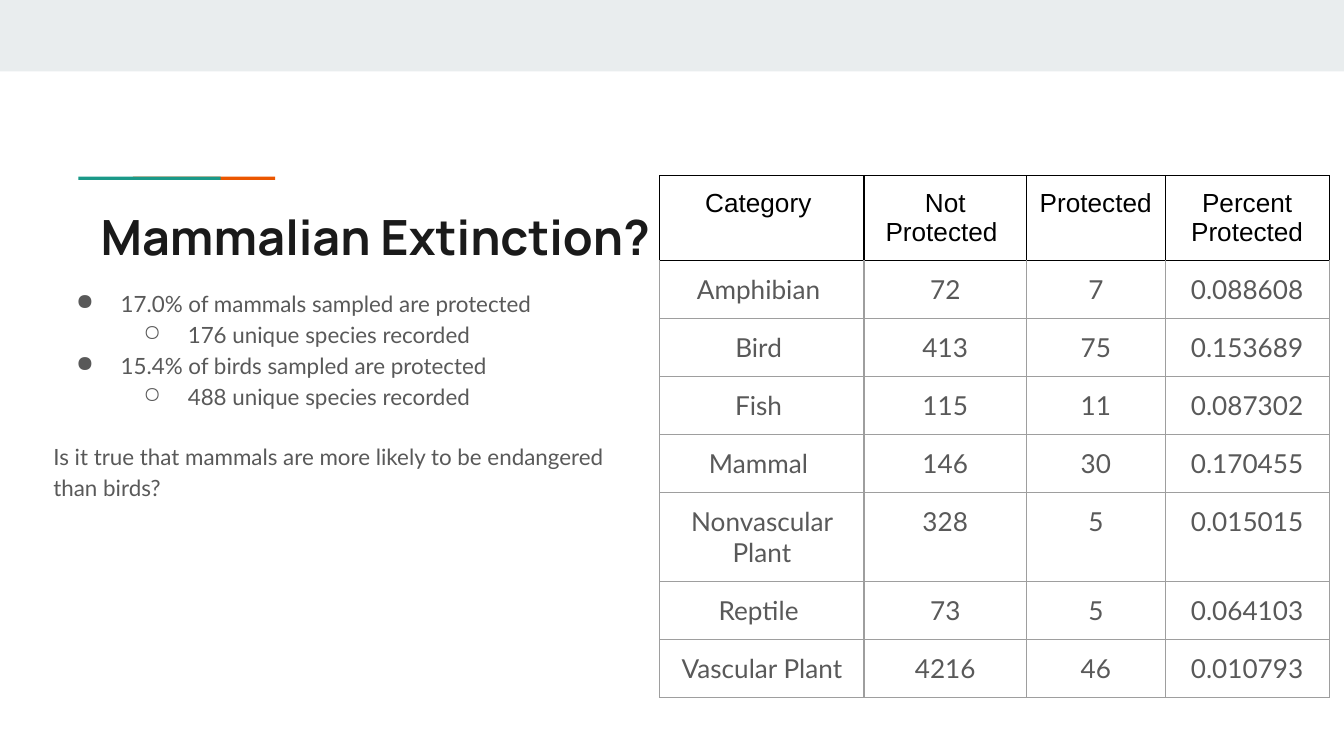
from lxml import etree
from pptx import Presentation
from pptx.dml.color import RGBColor
from pptx.enum.shapes import MSO_SHAPE
from pptx.enum.text import MSO_ANCHOR, MSO_AUTO_SIZE, PP_ALIGN
from pptx.oxml.ns import qn
from pptx.util import Cm, Pt

RECTANGLE = MSO_SHAPE.RECTANGLE
TOP = MSO_ANCHOR.TOP
NO_AUTOFIT = MSO_AUTO_SIZE.NONE
LEFT, CENTER = PP_ALIGN.LEFT, PP_ALIGN.CENTER

TITLE_ONLY = 5
INSET = Cm(0.25)
GREY_TEXT = "595959"
GRID = "9E9E9E"
BLACK = "000000"

BULLETS = [
    (0, "17.0% of mammals sampled are protected"),
    (1, "176 unique species recorded"),
    (0, "15.4% of birds sampled are protected"),
    (1, "488 unique species recorded"),
]
QUESTION = "Is it true that mammals are more likely to be endangered than birds?"
ROWS = [
    ("Category ", "Not Protected ", "Protected", "Percent Protected"),
    ("Amphibian ", "72", "7", "0.088608"),
    ("Bird ", "413", "75", "0.153689"),
    ("Fish ", "115", "11", "0.087302"),
    ("Mammal ", "146", "30", "0.170455"),
    ("Nonvascular Plant", "328", "5", "0.015015"),
    ("Reptile ", "73", "5", "0.064103"),
    ("Vascular Plant", "4216", "46", "0.010793"),
]
COLUMN_WIDTHS = [3.86, 3.07, 2.62, 3.1]
HEADER_HEIGHT, ROW_HEIGHT = 1.42, 1.09


def color(value):
    return RGBColor.from_string(value)


def write(para, text, *, size, font="Lato", fill=GREY_TEXT, bold=False,
          align=LEFT, spacing=1.0, gap=0):
    para.alignment = align
    para.line_spacing = spacing
    para.space_before = para.space_after = Pt(gap)
    span = para.add_run()
    span.text = text
    span.font.size = Pt(size)
    span.font.name = font
    span.font.bold = bold
    span.font.color.rgb = color(fill)


def set_bullet(para, level):
    para.level = level
    properties = para._p.get_or_add_pPr()
    properties.set("marL", str(Cm(1.27 * (level + 1))))
    properties.set("indent", str(Cm(-0.84)))
    bullet = etree.SubElement(properties, qn("a:buChar"))
    bullet.set("char", "●○"[level])


def set_insets(frame):
    frame.margin_left = frame.margin_right = INSET
    frame.margin_top = frame.margin_bottom = INSET


def prepare_frame(frame):
    frame.word_wrap = True
    frame.auto_size = NO_AUTOFIT
    frame.vertical_anchor = TOP
    set_insets(frame)


def add_bar(page, left, top, width, height, fill):
    bar = page.shapes.add_shape(RECTANGLE, Cm(left), Cm(top), Cm(width), Cm(height))
    bar.shadow.inherit = False
    bar.fill.solid()
    bar.fill.fore_color.rgb = color(fill)
    bar.line.fill.background()


def add_title(page, text):
    title = page.shapes.title
    title.left, title.top, title.width, title.height = Cm(1.65), Cm(3.66), Cm(21.36), Cm(1.5)
    prepare_frame(title.text_frame)
    write(title.text_frame.paragraphs[0], text, size=26, font="Manrope",
          fill="1A1A1A", bold=True)


def add_findings(page):
    box = page.shapes.add_textbox(Cm(0.76), Cm(5.16), Cm(11.56), Cm(8.1))
    frame = box.text_frame
    prepare_frame(frame)
    for index, (level, text) in enumerate(BULLETS):
        para = frame.add_paragraph() if index else frame.paragraphs[0]
        write(para, text, size=12, spacing=1.15)
        set_bullet(para, level)
    write(frame.add_paragraph(), QUESTION, size=12, spacing=1.15, gap=16)


def set_border(cell, side, value):
    line = etree.SubElement(cell._tc.get_or_add_tcPr(), qn(f"a:ln{side}"), w=str(Pt(0.75)))
    fill = etree.SubElement(line, qn("a:solidFill"))
    etree.SubElement(fill, qn("a:srgbClr"), val=value)


def add_protection_table(page):
    height = HEADER_HEIGHT + ROW_HEIGHT * (len(ROWS) - 1)
    frame = page.shapes.add_table(len(ROWS), len(COLUMN_WIDTHS), Cm(12.47), Cm(3.32),
                                  Cm(sum(COLUMN_WIDTHS)), Cm(height))
    table = frame.table
    table.first_row = table.horz_banding = False
    for column, width in zip(table.columns, COLUMN_WIDTHS):
        column.width = Cm(width)
    for row_index, texts in enumerate(ROWS):
        header = row_index == 0
        table.rows[row_index].height = Cm(HEADER_HEIGHT if header else ROW_HEIGHT)
        for column_index, text in enumerate(texts):
            cell = table.cell(row_index, column_index)
            set_insets(cell)
            for side in "LRTB":
                black = header or (row_index == 1 and side == "T")
                set_border(cell, side, BLACK if black else GRID)
            cell.fill.background()
            write(cell.text_frame.paragraphs[0], text, size=14, align=CENTER,
                  font="Arial" if header else "Lato",
                  fill=BLACK if header else GREY_TEXT)


def main():
    deck = Presentation()
    deck.slide_width, deck.slide_height = Cm(25.4), Cm(14.29)
    page = deck.slides.add_slide(deck.slide_layouts[TITLE_ONLY])
    add_bar(page, 0, 0, 25.4, 1.35, "E9EDEE")
    add_bar(page, 2.51, 3.34, 2.69, 0.06, "EB5600")
    add_bar(page, 1.48, 3.34, 2.69, 0.06, "1A9988")
    add_title(page, "Mammalian Extinction?")
    add_findings(page)
    add_protection_table(page)
    deck.save("out.pptx")


if __name__ == "__main__":
    main()
